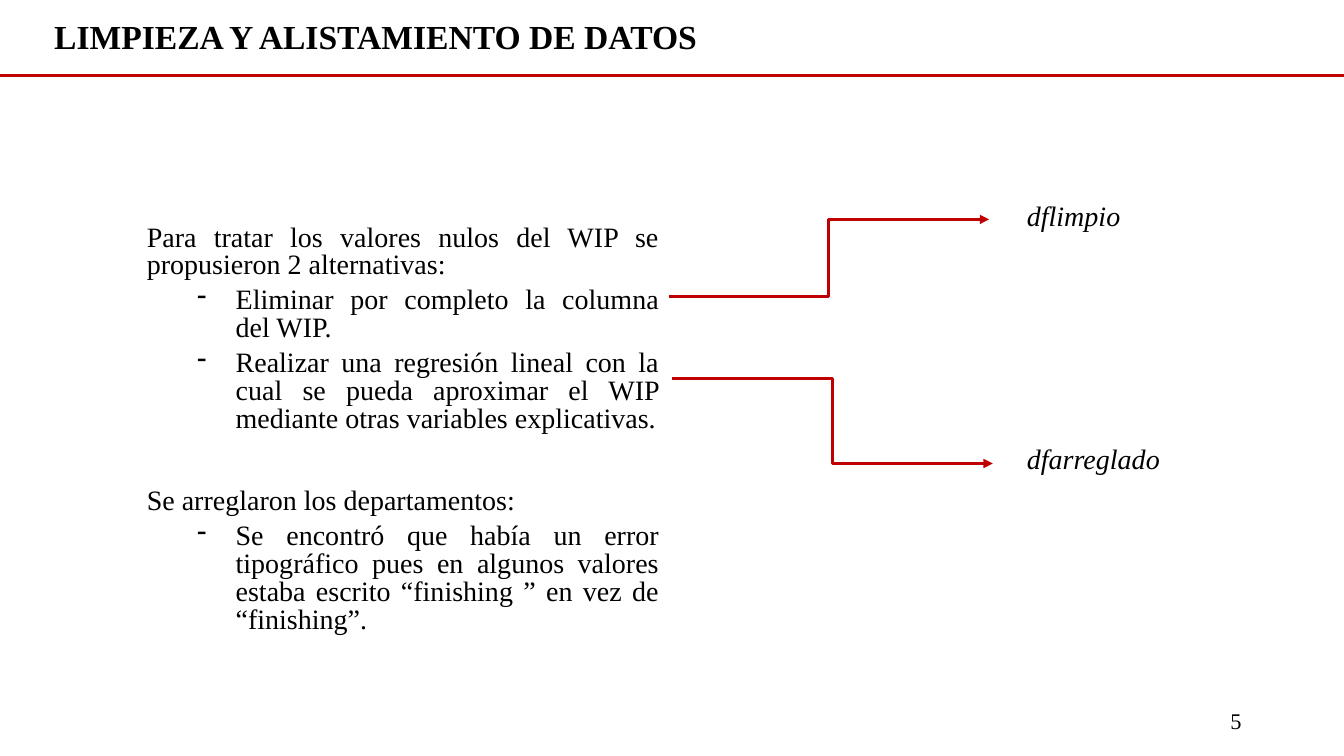
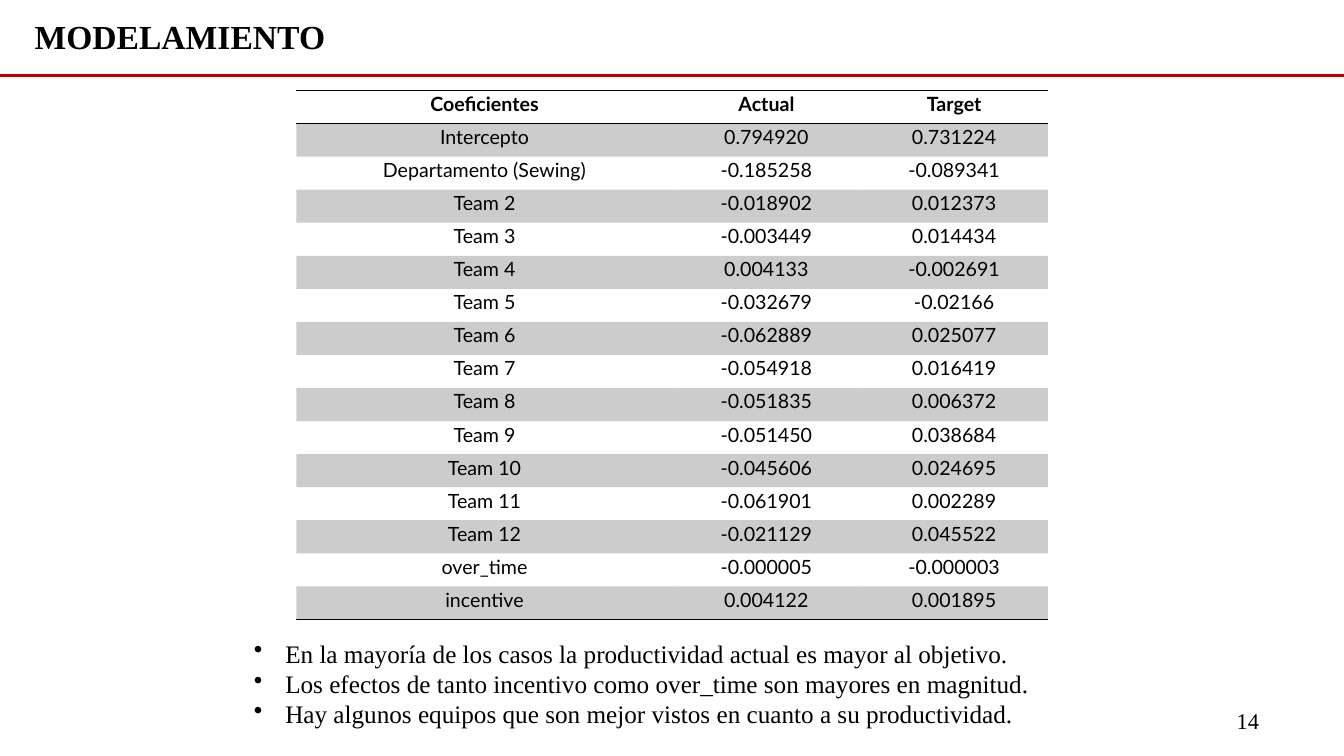
from lxml.etree import SubElement
from pptx import Presentation
from pptx.dml.color import RGBColor
from pptx.enum.shapes import MSO_CONNECTOR
from pptx.enum.text import MSO_ANCHOR, MSO_AUTO_SIZE, PP_ALIGN
from pptx.oxml.ns import qn
from pptx.util import Cm, Pt

BLACK = RGBColor(0x00, 0x00, 0x00)
RED = RGBColor(0xC0, 0x00, 0x00)
SERIF = "Times New Roman"
SANS = "Lato"
NO_STYLE = "{2D5ABB26-0587-4C30-8999-92F81FD0307C}"


def add_text(p, text, size, align, spacing=None, before=None, bullet=None,
             margin=0, hang=0, font=SERIF, bold=False, italic=False):
    p.alignment = align
    if spacing:
        p.line_spacing = spacing
    if before:
        p.space_before = Pt(before)
    if bullet:
        pPr = p._p.get_or_add_pPr()
        pPr.set("marL", str(Cm(margin)))
        pPr.set("indent", str(-Cm(hang)))
        SubElement(pPr, qn("a:buChar"), char=bullet)
    r = p.add_run()
    r.text = text
    r.font.name = font
    r.font.size = Pt(size)
    r.font.bold = bold
    r.font.italic = italic
    r.font.color.rgb = BLACK


def add_line(slide, kind, x1, y1, x2, y2, arrow=False):
    line = slide.shapes.add_connector(kind, Cm(x1), Cm(y1), Cm(x2), Cm(y2))
    line.line.color.rgb = RED
    line.line.width = Pt(2.25)
    if arrow:
        SubElement(line.line._get_or_add_ln(), qn("a:tailEnd"), type="triangle")
    SubElement(line._element.spPr, qn("a:effectLst"))


prs = Presentation()
prs.slide_width = Cm(33.87)
prs.slide_height = Cm(19.05)

slides = []
for title, title_width, number, number_width in [
    ("LIMPIEZA Y ALISTAMIENTO DE DATOS", 19.13, "5", 0.91),
    ("MODELAMIENTO", 9.27, "14", 1.35),
]:
    slide = prs.slides.add_slide(prs.slide_layouts[5])
    slides.append(slide)
    sp = slide.shapes.title
    sp.left, sp.top = Cm(-0.1), Cm(0.18)
    sp.width, sp.height = Cm(title_width), Cm(1.37)
    tf = sp.text_frame
    tf.word_wrap = True
    tf.auto_size = MSO_AUTO_SIZE.NONE
    tf.vertical_anchor = MSO_ANCHOR.BOTTOM
    add_text(tf.paragraphs[0], title, 24, PP_ALIGN.CENTER, 0.9, bold=True)
    add_line(slide, MSO_CONNECTOR.STRAIGHT, 0, 1.9, 33.87, 1.9)
    sp = slide.shapes.add_textbox(Cm(30.63), Cm(17.65), Cm(number_width), Cm(1))
    tf = sp.text_frame
    tf.word_wrap = True
    tf.vertical_anchor = MSO_ANCHOR.MIDDLE
    add_text(tf.paragraphs[0], number, 16, PP_ALIGN.RIGHT)

cleaning, modelling = slides

sp = cleaning.shapes.add_textbox(Cm(3.45), Cm(5.54), Cm(13.41), Cm(11.2))
tf = sp.text_frame
tf.word_wrap = True
for i, (text, before, bullet) in enumerate([
    ("Para tratar los valores nulos del WIP se propusieron 2 alternativas:", None, None),
    ("Eliminar por completo la columna del WIP.", 5, "-"),
    ("Realizar una regresión lineal con la cual se pueda aproximar el WIP "
     "mediante otras variables explicativas.", 5, "-"),
    ("Se arreglaron los departamentos:", 39, None),
    ("Se encontró que había un error tipográfico pues en algunos valores "
     "estaba escrito “finishing ” en vez de “finishing”.", 5, "-"),
]):
    p = tf.add_paragraph() if i else tf.paragraphs[0]
    if bullet:
        p.level = 1
    add_text(p, text, 20, PP_ALIGN.JUSTIFY, 0.83, before, bullet, 2.24, 0.97)

add_line(cleaning, MSO_CONNECTOR.ELBOW, 16.85, 7.47, 24.93, 5.53, arrow=True)
add_line(cleaning, MSO_CONNECTOR.ELBOW, 16.94, 9.53, 25.02, 11.68, arrow=True)

for name, top, width in [("dflimpio", 4.98, 3.35), ("dfarreglado", 11.1, 4.01)]:
    sp = cleaning.shapes.add_textbox(Cm(25.63), Cm(top), Cm(width), Cm(1.12))
    tf = sp.text_frame
    tf.word_wrap = True
    add_text(tf.paragraphs[0], name, 20, PP_ALIGN.JUSTIFY, 0.9, italic=True)

rows = [
    ("Coeficientes", "Actual", "Target"),
    ("Intercepto", "0.794920", "0.731224"),
    ("Departamento (Sewing)", "-0.185258", "-0.089341"),
    ("Team 2", "-0.018902", "0.012373"),
    ("Team 3", "-0.003449", "0.014434"),
    ("Team 4", "0.004133", "-0.002691"),
    ("Team 5", "-0.032679", "-0.02166"),
    ("Team 6", "-0.062889", "0.025077"),
    ("Team 7", "-0.054918", "0.016419"),
    ("Team 8", "-0.051835", "0.006372"),
    ("Team 9", "-0.051450", "0.038684"),
    ("Team 10", "-0.045606", "0.024695"),
    ("Team 11", "-0.061901", "0.002289"),
    ("Team 12", "-0.021129", "0.045522"),
    ("over_time", "-0.000005", "-0.000003"),
    ("incentive", "0.004122", "0.001895"),
]
last = len(rows) - 1
table = modelling.shapes.add_table(
    len(rows), 3, Cm(7.47), Cm(2.28), Cm(18.94), Cm(13.33)).table
table.first_row = False
table.horz_banding = False
table._tbl.tblPr.find(qn("a:tableStyleId")).text = NO_STYLE
for column, width in zip(table.columns, (9.48, 4.73, 4.73)):
    column.width = Cm(width)

for i, values in enumerate(rows):
    edges = {0: ("a:lnT", "a:lnB"), last: ("a:lnB",)}.get(i, ())
    for j, value in enumerate(values):
        cell = table.cell(i, j)
        cell.margin_left = cell.margin_right = Cm(0.18)
        cell.margin_top = cell.margin_bottom = 0
        add_text(cell.text_frame.paragraphs[0], value, 14, PP_ALIGN.CENTER, 1.07,
                 font=SANS, bold=i == 0)
        tcPr = cell._tc.get_or_add_tcPr()
        for edge in edges:
            ln = SubElement(tcPr, qn(edge), w=str(Pt(1)))
            SubElement(SubElement(ln, qn("a:solidFill")), qn("a:srgbClr"), val=str(BLACK))
        if i % 2:
            cell.fill.solid()
            cell.fill.fore_color.rgb = BLACK
            color = tcPr.find(qn("a:solidFill")).find(qn("a:srgbClr"))
            SubElement(color, qn("a:alpha"), val="20000")
        else:
            cell.fill.background()

sp = modelling.shapes.add_textbox(Cm(6.15), Cm(15.95), Cm(21.56), Cm(2.57))
tf = sp.text_frame
tf.word_wrap = True
for i, text in enumerate([
    "En la mayoría de los casos la productividad actual es mayor al objetivo.",
    "Los efectos de tanto incentivo como over_time son mayores en magnitud.",
    "Hay algunos equipos que son mejor vistos en cuanto a su productividad.",
]):
    p = tf.add_paragraph() if i else tf.paragraphs[0]
    add_text(p, text, 18, PP_ALIGN.LEFT, bullet="•", margin=0.79, hang=0.79)

prs.save("out.pptx")
